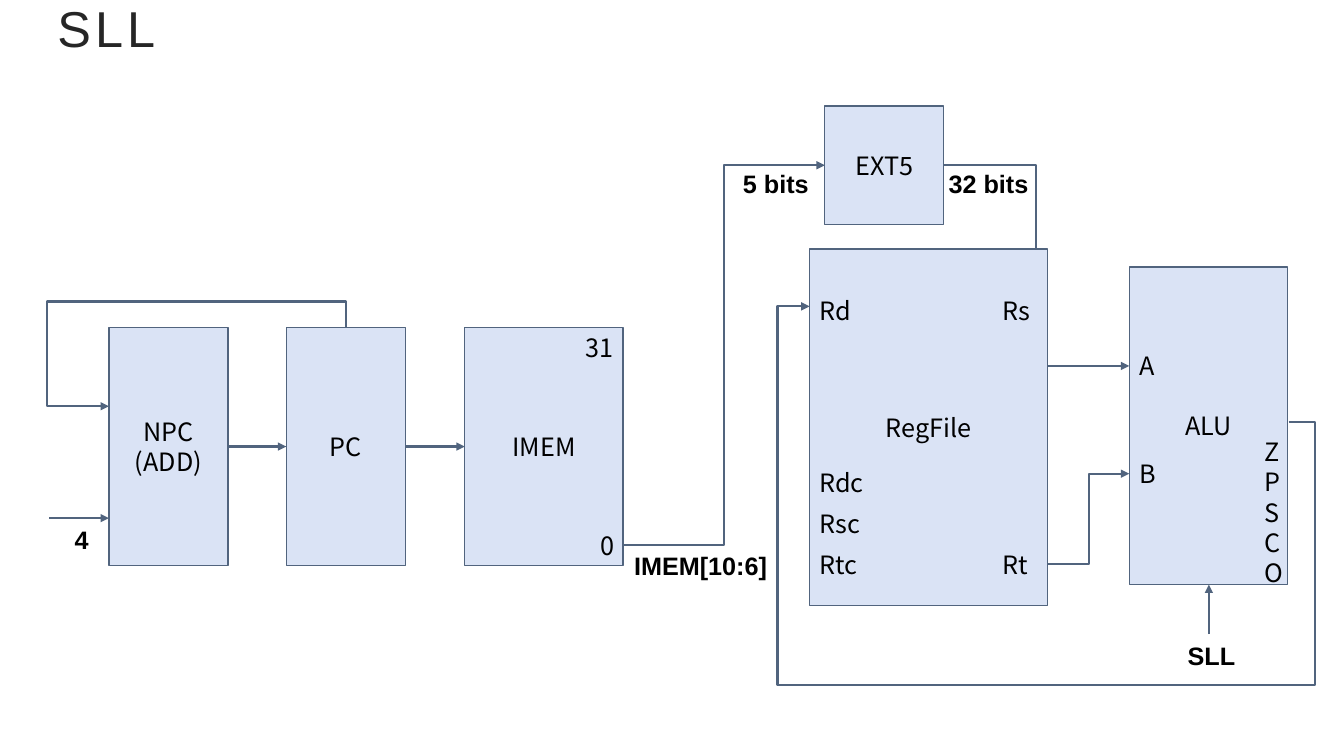
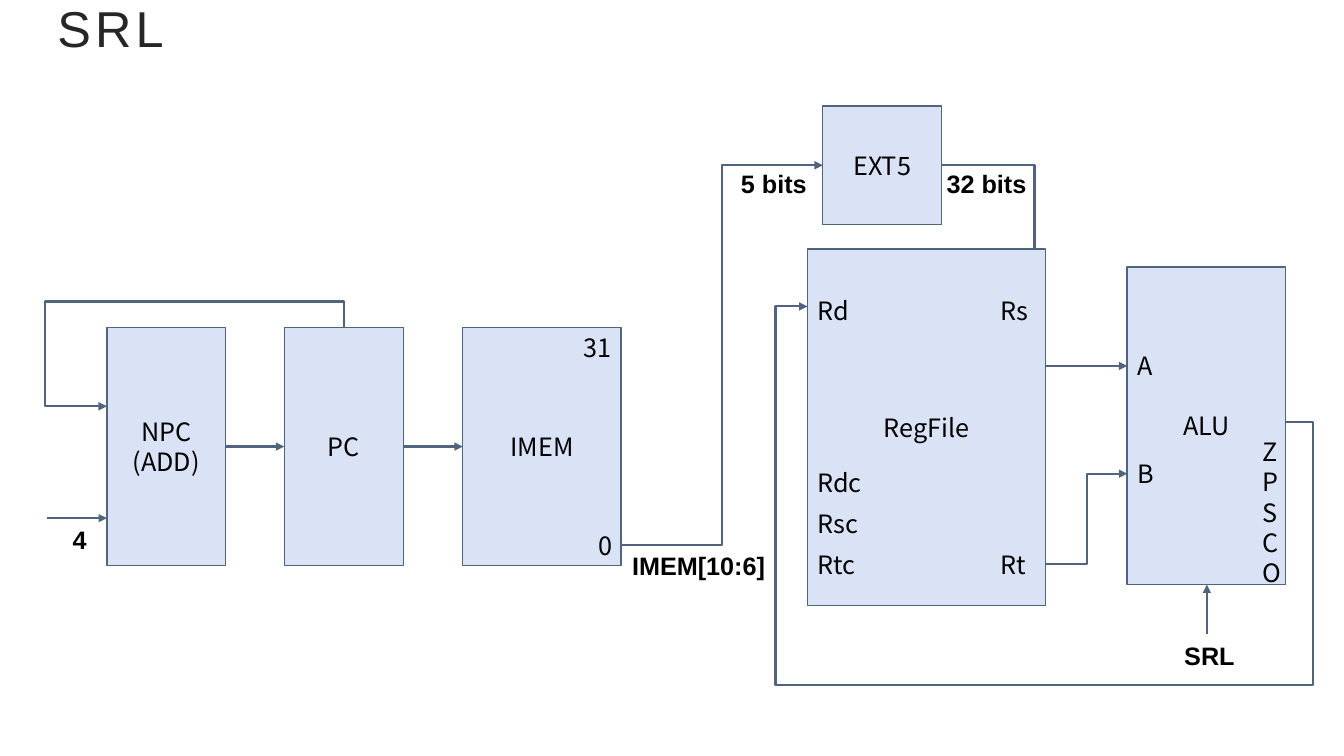
import dataclasses
import typing

import pptx
import pptx.dml.color
import pptx.enum.shapes
import pptx.enum.text
import pptx.oxml.ns
import pptx.oxml.xmlchemy
import pptx.slide
import pptx.text.text
import pptx.util
from lxml import etree

Inches = pptx.util.Inches
Pt = pptx.util.Pt
qn = pptx.oxml.ns.qn
Align = pptx.enum.text.PP_ALIGN
Anchor = pptx.enum.text.MSO_ANCHOR

COLORS = {"title": "262626", "text": "000000", "fill": "DAE3F5", "line": "51647E"}
HEADING_FONT = "Arial"
BLOCK_FONT = "Noto Sans CJK JP"
BLOCK_LINE_SPACING = Pt(21.6)
QUARTER_TURN_BACK = "16200000"


@dataclasses.dataclass(frozen=True)
class Block:
    text: str
    left: float
    top: float
    width: float
    height: float


@dataclasses.dataclass(frozen=True)
class Label:
    text: str
    left: float
    top: float
    width: float
    height: float = 0.4
    align: Align = Align.LEFT
    bold: bool = False


@dataclasses.dataclass(frozen=True)
class Wire:
    """An arrow; bends are the x and y values, in turn, at which it turns."""

    start: tuple[float, float]
    end: tuple[float, float]
    bends: tuple[float, ...] = ()
    vertical_start: bool = False


# The datapath, shared by all shift instructions
BLOCKS = [
    Block("NPC\n(ADD)", 1.08, 3.25, 1.18, 2.36),
    Block("PC", 2.84, 3.25, 1.18, 2.36),
    Block("IMEM", 4.61, 3.25, 1.57, 2.36),
    Block("RegFile", 8.03, 2.47, 2.36, 3.54),
    Block("ALU", 11.2, 2.65, 1.57, 3.15),
    Block("EXT5", 8.18, 1.05, 1.18, 1.18),
]
PORTS = [
    Label("31", 5.44, 3.25, 0.74, align=Align.RIGHT),
    Label("0", 5.67, 5.21, 0.52, align=Align.RIGHT),
    Label("Rd", 8.03, 2.88, 0.56),
    Label("Rdc", 8.03, 4.59, 0.75),
    Label("Rsc", 8.03, 4.99, 0.75),
    Label("Rtc", 8.03, 5.4, 0.75),
    Label("Rs", 9.84, 2.88, 0.56),
    Label("Rt", 9.84, 5.4, 0.56),
    Label("A", 11.2, 3.43, 0.74),
    Label("B", 11.2, 4.5, 0.52),
    Label("ZPSCO", 12.44, 4.28, 0.34, 1.52, Align.CENTER),
]
SIGNALS = [
    Label("4", 0.55, 5.15, 0.52, align=Align.CENTER, bold=True),
    Label("5 bits", 7.22, 1.62, 0.95, align=Align.CENTER, bold=True),
    Label("32 bits", 9.31, 1.62, 1.04, bold=True),
    Label("IMEM[10:6]", 6.19, 5.41, 1.99, bold=True),
]
WIRES = [
    Wire((2.26, 4.43), (2.84, 4.43)),
    Wire((4.02, 4.43), (4.61, 4.43)),
    Wire((0.49, 5.14), (1.08, 5.14)),
    Wire((11.99, 6.29), (11.99, 5.8)),
    Wire((3.43, 3.25), (1.08, 4.03), (2.99, 0.47), vertical_start=True),
    Wire((6.19, 5.41), (8.18, 1.64), (7.18,)),
    Wire((9.36, 1.64), (11.2, 3.63), (10.28,)),
    Wire((10.39, 5.6), (11.2, 4.7), (10.8,)),
    Wire((12.78, 4.19), (8.03, 3.04), (13.04, 6.8, 7.71)),
]


def rgb(name: str) -> pptx.dml.color.RGBColor:
    return pptx.dml.color.RGBColor.from_string(COLORS[name])


def write(
    frame: pptx.text.text.TextFrame,
    text: str,
    font: str,
    size: float = 18,
    color: str = "text",
    align: Align = Align.LEFT,
    bold: bool = False,
) -> None:
    frame.word_wrap = True
    frame.text = text
    for para in frame.paragraphs:
        para.alignment = align
        if font == BLOCK_FONT:
            para.line_spacing = BLOCK_LINE_SPACING
        for span in para.runs:
            span.font.name = font
            span.font.size = Pt(size)
            span.font.bold = bold
            span.font.color.rgb = rgb(color)


def add_title(page: pptx.slide.Slide, text: str) -> None:
    box = page.shapes.add_textbox(Inches(0.47), Inches(-0.11), Inches(12), Inches(0.77))
    box.text_frame.vertical_anchor = Anchor.MIDDLE
    write(box.text_frame, text, HEADING_FONT, 36, "title")
    for span in box.text_frame.paragraphs[0].runs:
        span.font._element.set("spc", "300")


def add_block(page: pptx.slide.Slide, block: Block, shift: float) -> None:
    shape = page.shapes.add_shape(
        pptx.enum.shapes.MSO_SHAPE.RECTANGLE,
        Inches(block.left + shift),
        Inches(block.top),
        Inches(block.width),
        Inches(block.height),
    )
    shape.shadow.inherit = False
    shape.fill.solid()
    shape.fill.fore_color.rgb = rgb("fill")
    shape.line.color.rgb = rgb("line")
    shape.line.width = Pt(1)
    shape.text_frame.vertical_anchor = Anchor.MIDDLE
    write(shape.text_frame, block.text, BLOCK_FONT, align=Align.CENTER)


def add_label(page: pptx.slide.Slide, label: Label, shift: float) -> None:
    box = page.shapes.add_textbox(
        Inches(label.left + shift),
        Inches(label.top),
        Inches(label.width),
        Inches(label.height),
    )
    font = HEADING_FONT if label.bold else BLOCK_FONT
    write(box.text_frame, label.text, font, align=label.align, bold=label.bold)


def bend_ratios(wire: Wire) -> typing.Iterator[float]:
    """Give each bend as a share of the way from start to end on its axis."""
    for index, bend in enumerate(wire.bends):
        axis = (index + wire.vertical_start) % 2
        yield (bend - wire.start[axis]) / (wire.end[axis] - wire.start[axis])


def add_wire(page: pptx.slide.Slide, wire: Wire, shift: float) -> None:
    (x1, y1), (x2, y2) = wire.start, wire.end
    if wire.vertical_start:
        # Elbows start sideways, so lay this one flat before turning it
        middle_x, middle_y = (x1 + x2) / 2, (y1 + y2) / 2
        half_x, half_y = (y1 - y2) / 2, (x2 - x1) / 2
        x1, x2 = middle_x - half_x, middle_x + half_x
        y1, y2 = middle_y - half_y, middle_y + half_y
    kinds = pptx.enum.shapes.MSO_CONNECTOR
    connector = page.shapes.add_connector(
        kinds.ELBOW if wire.bends else kinds.STRAIGHT,
        Inches(x1 + shift),
        Inches(y1),
        Inches(x2 + shift),
        Inches(y2),
    )
    connector.line.color.rgb = rgb("line")
    connector.line.width = Pt(1.5)
    properties = connector._element.spPr
    if wire.vertical_start:
        properties.find(qn("a:xfrm")).set("rot", QUARTER_TURN_BACK)
    if wire.bends:
        geometry = properties.find(qn("a:prstGeom"))
        geometry.set("prst", f"bentConnector{len(wire.bends) + 2}")
        guides = geometry.find(qn("a:avLst"))
        for number, ratio in enumerate(bend_ratios(wire), 1):
            formula = f"val {round(ratio * 100000)}"
            etree.SubElement(guides, qn("a:gd"), name=f"adj{number}", fmla=formula)
    etree.SubElement(properties.find(qn("a:ln")), qn("a:tailEnd"), type="triangle")
    etree.SubElement(properties, qn("a:effectLst"))


def add_datapath(deck: pptx.presentation.Presentation, name: str, shift: float) -> None:
    page = deck.slides.add_slide(deck.slide_layouts[6])
    add_title(page, name)
    # Wires lie behind the blocks
    for wire in WIRES:
        add_wire(page, wire, shift)
    for block in BLOCKS:
        add_block(page, block, shift)
    # The ALU operation is the instruction's own name
    operation = Label(name, 11.26, 6.3, 1.51, align=Align.CENTER, bold=True)
    for label in [*PORTS, *SIGNALS, operation]:
        add_label(page, label, shift)


def main() -> None:
    deck = pptx.Presentation()
    deck.slide_width = Inches(13.33)
    deck.slide_height = Inches(7.5)
    for name, shift in (("SLL", 0), ("SRL", -0.02)):
        add_datapath(deck, name, shift)
    deck.save("out.pptx")


if __name__ == "__main__":
    main()
